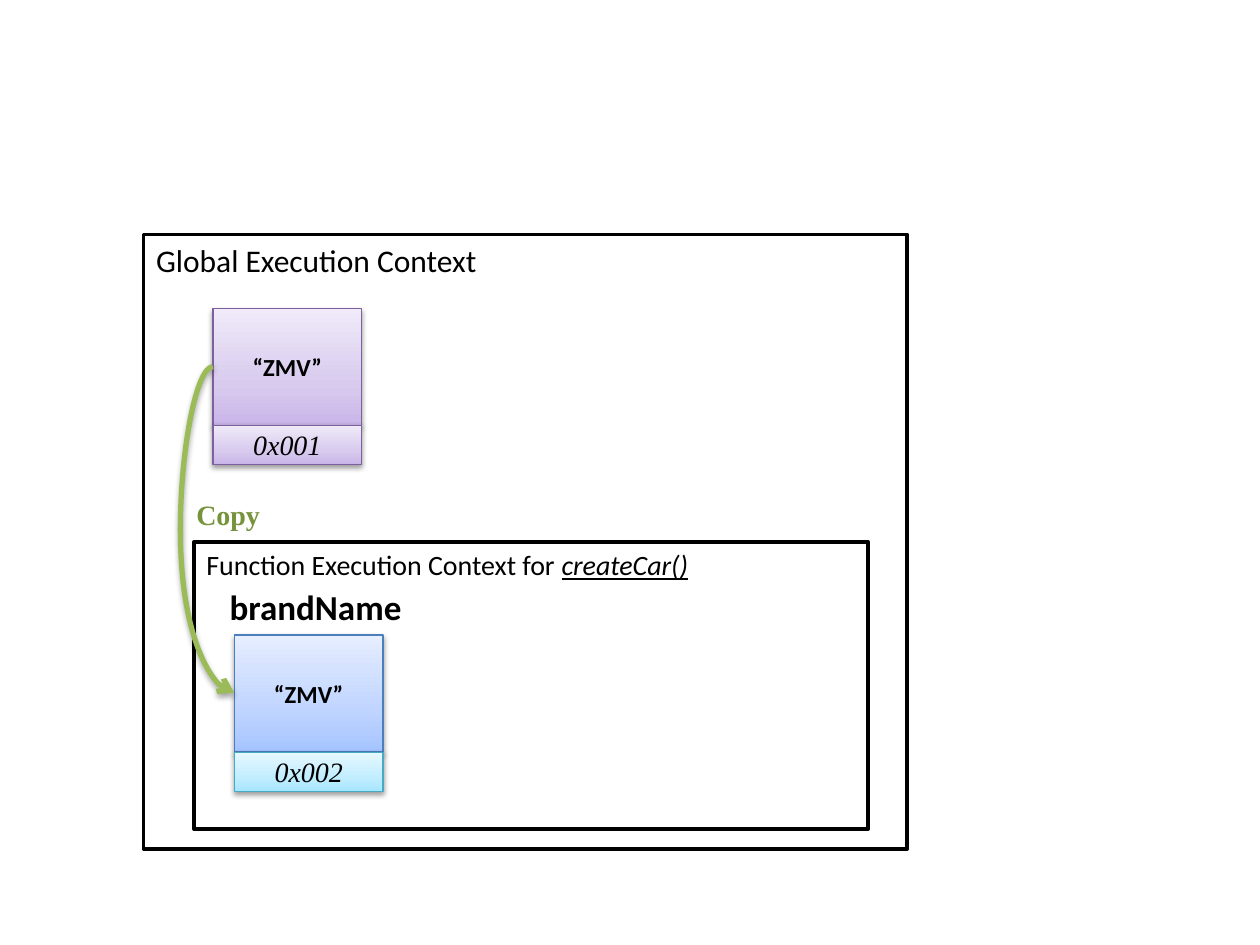
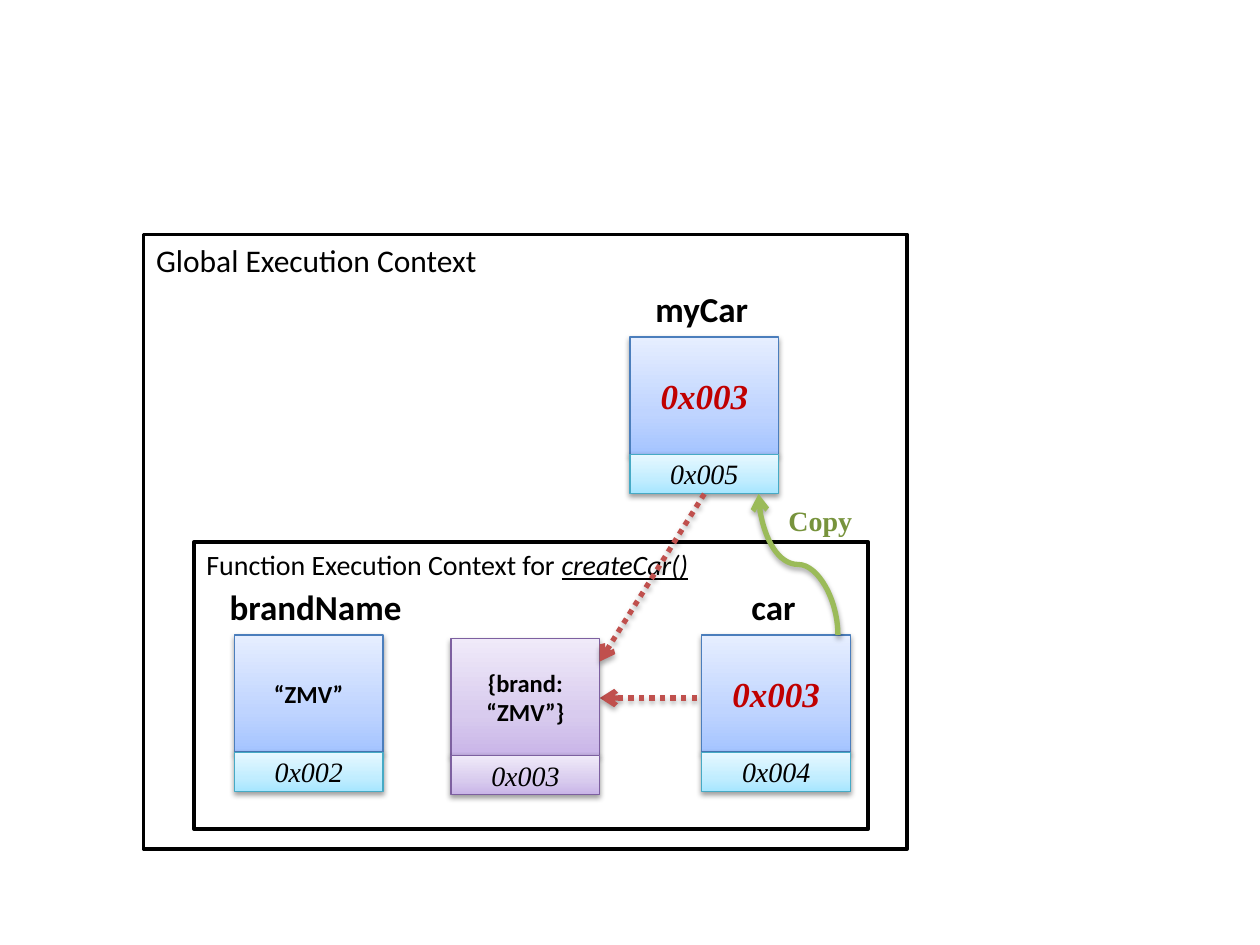
import lxml.etree
import pptx
import pptx.dml.color
import pptx.enum.dml
import pptx.enum.shapes
import pptx.enum.text
import pptx.oxml.ns
import pptx.util

BODY_FONT = "Calibri"
ADDRESS_FONT = "Times New Roman"
BLACK, WHITE = "000000", "FFFFFF"
COPY_LINE, COPY_TEXT = "9BBB59", "77933C"
REFERENCE_LINE, REFERENCE_TEXT = "C0504D", "C00000"
BLUE = (["A4C4FF", "BFD4FF", "E6EEFF"], "4B7EBC")
CYAN = (["A7E6FF", "C1EDFF", "E7F8FF"], "46AAC5")
PURPLE = (["C9B5E8", "D8CBEE", "F0EAF9"], "7D60A0")
STOP_POSITIONS = [0, 35000, 100000]
CELL_WIDTH, ADDRESS_HEIGHT, NAME_HEIGHT = 11.8, 3.1, 4.4
VARIABLE_HEIGHT, OBJECT_HEIGHT = 9.3, 9.25
BRAND = "“ZMV”"


def color(value):
    return pptx.dml.color.RGBColor.from_string(value)


def child(parent, tag, **attributes):
    element = lxml.etree.SubElement(parent, pptx.oxml.ns.qn(tag))
    for name, value in attributes.items():
        element.set(name, str(value))
    return element


class MemoryDiagram:
    """Draws execution contexts and memory cells on a grid of 100 columns by 75 rows."""

    def __init__(self):
        self.deck = pptx.Presentation()
        self.deck.slide_width = pptx.util.Inches(10)
        self.deck.slide_height = pptx.util.Inches(7.5)
        self.page = None

    def new_page(self):
        self.page = self.deck.slides.add_slide(self.deck.slide_layouts[6])

    def grid(self, *lengths):
        return [round(self.deck.slide_width * length / 100) for length in lengths]

    def set_text(self, shape, text, size, font=BODY_FONT, ink=BLACK, bold=False, italic=False,
                 align=pptx.enum.text.PP_ALIGN.CENTER):
        shape.text_frame.word_wrap = True
        para = shape.text_frame.paragraphs[0]
        para.add_run().text = text
        para.alignment = align
        para.font.name, para.font.size = font, pptx.util.Pt(size)
        para.font.bold, para.font.italic = bold, italic
        para.font.color.rgb = color(ink)
        return para

    def rectangle(self, column, row, width, height, line, weight):
        box = self.page.shapes.add_shape(
            pptx.enum.shapes.MSO_SHAPE.RECTANGLE, *self.grid(column, row, width, height))
        box.shadow.inherit = False
        box.line.color.rgb = color(line)
        box.line.width = pptx.util.Pt(weight)
        return box

    def shadow(self, effects, distance, opacity):
        outer = child(effects, "a:outerShdw", blurRad=40000, dist=distance, dir=5400000,
                      rotWithShape=0)
        child(child(outer, "a:srgbClr", val=BLACK), "a:alpha", val=opacity)

    def context(self, column, row, width, height, title, size, function=""):
        box = self.rectangle(column, row, width, height, BLACK, 2)
        box.fill.solid()
        box.fill.fore_color.rgb = color(WHITE)
        box.text_frame.vertical_anchor = pptx.enum.text.MSO_ANCHOR.TOP
        para = self.set_text(box, title, size, align=pptx.enum.text.PP_ALIGN.LEFT)
        if function:
            span = para.add_run()
            span.text = function
            span.font.italic = span.font.underline = True

    def contexts(self):
        self.context(11.4, 18.6, 60.6, 48.8, "Global Execution Context", 18)
        self.context(15.4, 43, 53.5, 22.8, "Function Execution Context for ", 16, "createCar()")

    def shaded_box(self, column, row, height, palette, text, **style):
        stops, line = palette
        box = self.rectangle(column, row, CELL_WIDTH, height, line, 0.75)
        box.fill.gradient()
        box.fill.gradient_angle = 90
        properties = box.element.spPr
        stop_list = properties.find(".//" + pptx.oxml.ns.qn("a:gsLst"))
        stop_list.clear()
        for position, stop in zip(STOP_POSITIONS, stops):
            child(child(stop_list, "a:gs", pos=position), "a:srgbClr", val=stop)
        self.shadow(properties.find(pptx.oxml.ns.qn("a:effectLst")), 20000, 38000)
        box.text_frame.vertical_anchor = pptx.enum.text.MSO_ANCHOR.MIDDLE
        self.set_text(box, text, **style)

    def label(self, column, row, width, height, text, **style):
        box = self.page.shapes.add_textbox(*self.grid(column, row, width, height))
        self.set_text(box, text, **style)
        box.text_frame.auto_size = pptx.enum.text.MSO_AUTO_SIZE.SHAPE_TO_FIT_TEXT

    def cell(self, column, row, height, palettes, value, address, **style):
        self.shaded_box(column, row, height, palettes[0], value, bold=True, **style)
        self.shaded_box(column, row + height, ADDRESS_HEIGHT, palettes[1], address,
                        size=16, font=ADDRESS_FONT, italic=True)

    def object_cell(self, column, row, value, address):
        self.cell(column, row, OBJECT_HEIGHT, (PURPLE, PURPLE), value, address, size=14)

    def variable(self, column, row, name, value, address, name_width=15, **style):
        self.cell(column, row, VARIABLE_HEIGHT, (BLUE, CYAN), value, address, **style)
        self.label(column - 1.8, row - NAME_HEIGHT, name_width, NAME_HEIGHT, name,
                   size=20, bold=True)

    def reference(self, column, row, name, address):
        self.variable(column, row, name, "0x003", address, size=20, font=ADDRESS_FONT,
                      ink=REFERENCE_TEXT, italic=True)

    def brand_name(self):
        self.variable(18.6, 50.4, "brandName", BRAND, "0x002", name_width=16.5, size=14)

    def copy_label(self, column, row):
        self.label(column, row, 15.7, 3.7, "Copy", size=16, font=ADDRESS_FONT, ink=COPY_TEXT,
                   bold=True, align=pptx.enum.text.PP_ALIGN.LEFT)

    def arrow(self, kind, start, end, ink):
        connector = self.page.shapes.add_connector(kind, *self.grid(*start, *end))
        connector.line.color.rgb = color(ink)
        connector.line.width = pptx.util.Pt(3)
        properties = connector.element.spPr
        child(properties.find(pptx.oxml.ns.qn("a:ln")), "a:tailEnd", type="arrow")
        self.shadow(child(properties, "a:effectLst"), 23000, 35000)
        return connector

    def reference_arrow(self, start, end):
        connector = self.arrow(pptx.enum.shapes.MSO_CONNECTOR.STRAIGHT, start, end,
                               REFERENCE_LINE)
        connector.line.dash_style = pptx.enum.dml.MSO_LINE.ROUND_DOT

    def copy_arrow(self, start, end, bend=0.5, upright=False):
        if upright:
            middle = [(a + b) / 2 for a, b in zip(start, end)]
            across, along = (start[0] - end[0]) / 2, (start[1] - end[1]) / 2
            start = (middle[0] - along, middle[1] + across)
            end = (middle[0] + along, middle[1] - across)
        connector = self.arrow(pptx.enum.shapes.MSO_CONNECTOR.CURVE, start, end, COPY_LINE)
        properties = connector.element.spPr
        if upright:
            properties.find(pptx.oxml.ns.qn("a:xfrm")).set("rot", str(270 * 60000))
        guides = properties.find(".//" + pptx.oxml.ns.qn("a:avLst"))
        child(guides, "a:gd", name="adj1", fmla=f"val {round(bend * 100000)}")


def draw_argument_copy(diagram):
    diagram.new_page()
    diagram.contexts()
    diagram.brand_name()
    diagram.object_cell(16.9, 24.5, BRAND, "0x001")
    diagram.copy_arrow((16.9, 29.1), (18.6, 55), bend=-1.52)
    diagram.copy_label(14.6, 39)


def draw_returned_reference(diagram):
    diagram.new_page()
    diagram.contexts()
    diagram.brand_name()
    diagram.reference_arrow((55.3, 55.4), (47.6, 55.4))
    diagram.object_cell(35.8, 50.7, "{brand: " + BRAND + "}", "0x003")
    diagram.reference(55.7, 50.4, "car", "0x004")
    diagram.reference(50, 26.75, "myCar", "0x005")
    diagram.copy_arrow((66.5, 50.4), (60.2, 39.2), upright=True)
    diagram.copy_label(61.6, 39.5)
    diagram.reference_arrow((55.9, 39.2), (47.6, 52.5))


def main():
    diagram = MemoryDiagram()
    draw_argument_copy(diagram)
    draw_returned_reference(diagram)
    diagram.deck.save("out.pptx")


if __name__ == "__main__":
    main()
